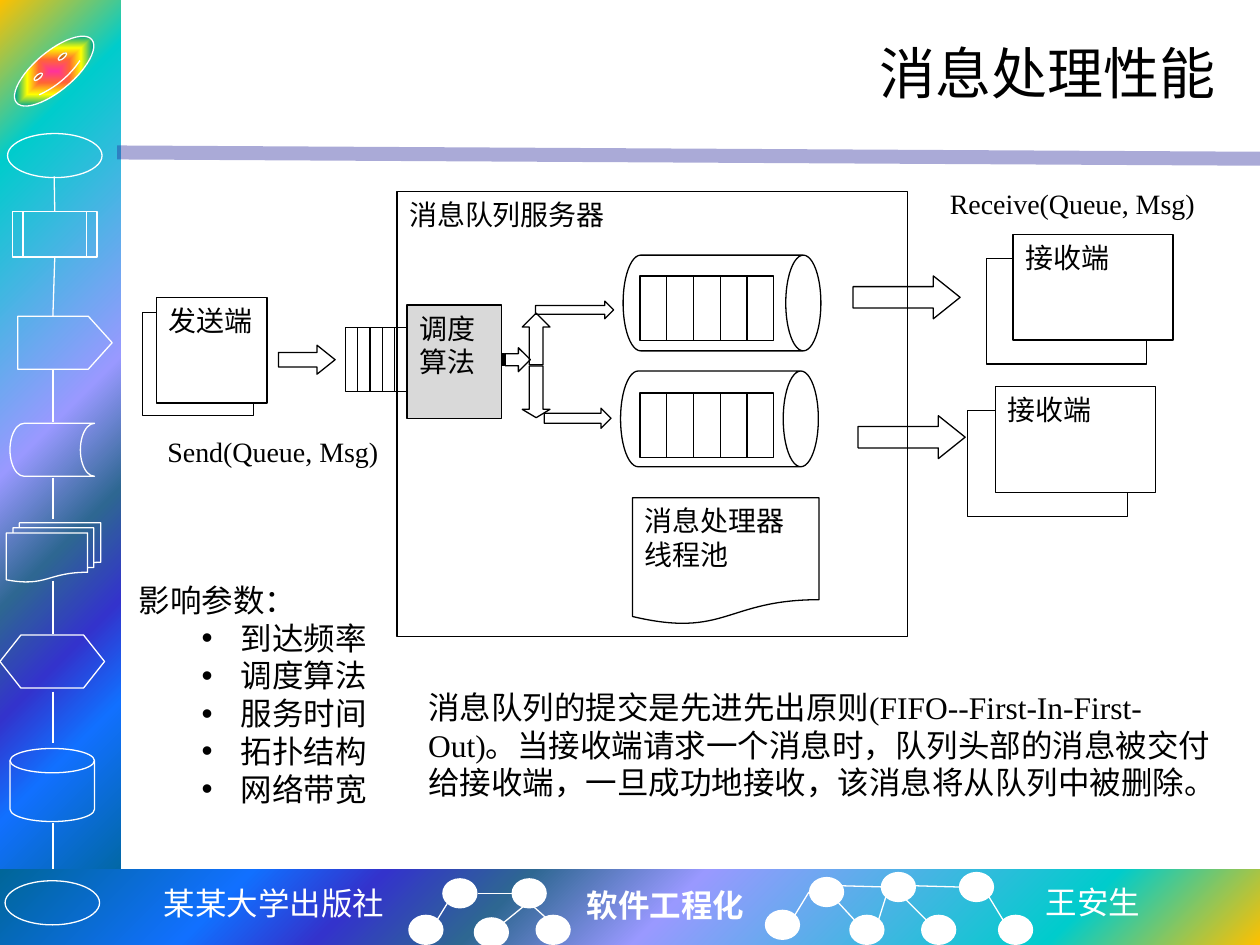
from lxml.etree import SubElement
from pptx import Presentation
from pptx.dml.color import RGBColor
from pptx.enum.shapes import MSO_CONNECTOR, MSO_SHAPE
from pptx.enum.text import MSO_ANCHOR, MSO_AUTO_SIZE, PP_ALIGN
from pptx.oxml.ns import qn
from pptx.util import Inches, Pt

COLORS = {"white": "FFFFFF", "black": "000000", "grey": "D9D9D9", "rule": "262699"}
SERIF, CJK = "Times New Roman", "Noto Sans CJK SC"
OCEAN = [(0, "FFC000"), (16, "00CCCC"), (47, "9999FF"), (60, "2E6792"),
         (71, "3333CC"), (81, "1170FF"), (100, "006699")]
RAINBOW = [(0, "FF3399"), (25, "FF6633"), (50, "FFFF00"), (75, "01A78F"), (100, "3366FF")]


def rgb(name):
    """Return the named palette colour."""
    return RGBColor.from_string(COLORS[name])


def write(tf, text, size=16, font=SERIF, color="black", bold=False,
          align=PP_ALIGN.LEFT, anchor=MSO_ANCHOR.TOP, wrap=True, bullets=()):
    """Fill a text frame with one paragraph per line, bulleting those listed."""
    tf.word_wrap, tf.vertical_anchor, tf.auto_size = wrap, anchor, MSO_AUTO_SIZE.NONE
    for i, line in enumerate(text.split("\n")):
        p = tf.paragraphs[0] if i == 0 else tf.add_paragraph()
        p.alignment, p.space_before = align, Pt(0)
        pPr = p._p.get_or_add_pPr()
        bulleted = i in bullets
        pPr.set("marL", str(Inches(0.81 if bulleted else 0)))
        pPr.set("indent", str(Inches(-0.31 if bulleted else 0)))
        if bulleted:
            SubElement(pPr, qn("a:buChar"), char="•")
        else:
            SubElement(pPr, qn("a:buNone"))
        r = p.add_run()
        r.text = line
        r.font.size, r.font.name, r.font.bold = Pt(size), font, bold
        r.font.color.rgb = rgb(color)
        SubElement(r._r.get_or_add_rPr(), qn("a:ea"), typeface=CJK)


def place(sp, x, y, w, h):
    """Set a shape's position and size in inches."""
    sp.left, sp.top, sp.width, sp.height = map(Inches, (x, y, w, h))


def add_label(s, text, x, y, w, h, **fmt):
    """Add a text box."""
    write(s.shapes.add_textbox(*map(Inches, (x, y, w, h))).text_frame, text, **fmt)


def add_box(s, kind, x, y, w, h, fill=None, line="black", text="", rot=0, adj=()):
    """Add a preset shape, with text when given."""
    sp = s.shapes.add_shape(kind, *map(Inches, (x, y, w, h)))
    sp.shadow.inherit = False
    sp.rotation = rot
    for i, value in enumerate(adj):
        sp.adjustments[i] = value
    if fill:
        sp.fill.solid()
        sp.fill.fore_color.rgb = rgb(fill)
    else:
        sp.fill.background()
    if line:
        sp.line.color.rgb, sp.line.width = rgb(line), Pt(0.75)
    else:
        sp.line.fill.background()
    if text:
        write(sp.text_frame, text)
    return sp


def set_gradient(sp, stops, path, focus):
    """Replace an empty fill by a path gradient with its focus in percent."""
    spPr = sp._element.spPr
    old = spPr.find(qn("a:noFill"))
    grad = SubElement(spPr, qn("a:gradFill"), rotWithShape="1")
    gsLst = SubElement(grad, qn("a:gsLst"))
    for pos, color in stops:
        gs = SubElement(gsLst, qn("a:gs"), pos=str(pos * 1000))
        SubElement(gs, qn("a:srgbClr"), val=color)
    node = SubElement(grad, qn("a:path"), path=path)
    SubElement(node, qn("a:fillToRect"),
               **{side: str(v * 1000) for side, v in zip("ltrb", focus)})
    spPr.replace(old, grad)


def add_line(s, x1, y1, x2, y2, color="white", width=0.75, alpha=None, begin=None, end=None):
    """Add a straight connector, joined to (shape, site) pairs when given."""
    c = s.shapes.add_connector(MSO_CONNECTOR.STRAIGHT, *map(Inches, (x1, y1, x2, y2)))
    c.line.color.rgb, c.line.width = rgb(color), Pt(width)
    if alpha:
        clr = next(c._element.spPr.iter(qn("a:srgbClr")))
        SubElement(clr, qn("a:alpha"), val=str(alpha * 1000))
    SubElement(c._element.spPr, qn("a:effectLst"))
    if begin:
        c.begin_connect(*begin)
    if end:
        c.end_connect(*end)


def add_queue(s, x, y, w, cells, h=0.51):
    """Add a rectangle split into equal cells."""
    sp = add_box(s, MSO_SHAPE.RECTANGLE, x, y, w, h)
    for i in range(1, cells):
        cx, middle = x + w * i / cells, 2 * i == cells
        add_line(s, cx, y, cx, y + h, "black",
                 begin=(sp, 0) if middle else None, end=(sp, 2) if middle else None)


def add_sidebar(s):
    """Draw the left band with its flowchart."""
    band = add_box(s, MSO_SHAPE.RECTANGLE, 0, 0, 0.96, 7.09, line=None)
    set_gradient(band, OCEAN, "circle", (0, 0, 100, 100))
    face = add_box(s, MSO_SHAPE.SMILEY_FACE, 0.04, 0.41, 0.78, 0.31, line="white",
                   rot=320, adj=[0.047])
    set_gradient(face, RAINBOW, "shape", (50, 50, 50, 50))
    process = add_box(s, MSO_SHAPE.FLOWCHART_PREDEFINED_PROCESS, 0.1, 1.68, 0.67, 0.36, line="white")
    for kind, x, y, w, h in [
        (MSO_SHAPE.OVAL, 0.06, 1.06, 0.75, 0.35),
        (MSO_SHAPE.FLOWCHART_STORED_DATA, 0.08, 3.36, 0.67, 0.42),
        (MSO_SHAPE.FLOWCHART_MULTIDOCUMENT, 0.05, 4.15, 0.75, 0.47),
        (MSO_SHAPE.FLOWCHART_PREPARATION, 0, 5.04, 0.83, 0.42),
        (MSO_SHAPE.FLOWCHART_MAGNETIC_DISK, 0.08, 5.94, 0.67, 0.58),
    ]:
        add_box(s, kind, x, y, w, h, line="white")
    add_box(s, MSO_SHAPE.PENTAGON, 0.14, 2.51, 0.75, 0.42, line="white", adj=[0.45])
    add_line(s, 0.43, 1.4, 0.43, 1.68, end=(process, 0))
    add_line(s, 0.43, 2.05, 0.42, 2.51, begin=(process, 2))
    for top, bottom in [(2.93, 3.35), (3.79, 4.12), (4.61, 5.03), (5.49, 5.9), (6.53, 6.99)]:
        add_line(s, 0.42, top, 0.42, bottom)


def add_footer(s):
    """Draw the bottom band with its labels and node networks."""
    band = add_box(s, MSO_SHAPE.RECTANGLE, 0, 6.9, 10, 0.6, line=None)
    set_gradient(band, OCEAN, "circle", (100, 100, 0, 0))
    add_box(s, MSO_SHAPE.OVAL, 0.04, 6.99, 0.75, 0.35, line="white")
    for x, y in [(3.51, 6.97), (4.06, 6.97), (3.24, 7.26), (3.76, 7.28), (4.25, 7.26),
                 (6.07, 7.22), (6.42, 6.96), (6.74, 7.26), (6.99, 6.92), (7.31, 7.26),
                 (7.61, 6.92), (7.92, 7.26)]:
        add_box(s, MSO_SHAPE.OVAL, x, y, 0.28, 0.24, fill="white", line=None)
    for ends in [(3.47, 7.3, 3.55, 7.17), (4, 7.32, 4.16, 7.19), (4.06, 7.09, 3.79, 7.09),
                 (4.34, 7.29, 4.24, 7.2), (6.31, 7.26, 6.42, 7.08), (6.78, 7.3, 6.65, 7.16),
                 (6.68, 7.03, 7.03, 7.04), (6.97, 7.31, 7.03, 7.12), (7.35, 7.3, 7.15, 7.1),
                 (7.26, 7.03, 7.61, 7.04), (7.96, 7.3, 7.85, 7.12)]:
        add_line(s, *ends)
    fmt = {"size": 18, "color": "white", "wrap": False}
    add_label(s, "某某大学出版社", 1.19, 6.97, 1.97, 0.4, font="Noto Sans Mono",
              align=PP_ALIGN.CENTER, **fmt)
    add_label(s, "软件工程化", 4.56, 6.98, 1.46, 0.4, bold=True, **fmt)
    add_label(s, "王安生", 8.2, 6.96, 0.96, 0.4, font=CJK, **fmt)


def add_diagram(s):
    """Draw the sender, the queue server and the receivers."""
    rect, arrow = MSO_SHAPE.RECTANGLE, MSO_SHAPE.RIGHT_ARROW
    add_box(s, rect, 3.15, 1.52, 4.05, 3.53, text="消息队列服务器")
    add_box(s, rect, 1.13, 2.48, 0.88, 0.82)
    add_box(s, rect, 1.24, 2.36, 0.88, 0.84, fill="white", text="发送端")
    for back, front in [((7.83, 2.05), (8.04, 1.86)), ((7.68, 3.26), (7.9, 3.07))]:
        add_box(s, rect, *back, 1.27, 0.84)
        add_box(s, rect, *front, 1.27, 0.84, fill="white", text="接收端")
    for x, y, queue_y in [(5.35, 1.62, 2.19), (5.33, 2.54, 3.12)]:
        add_box(s, MSO_SHAPE.CAN, x, y, 0.76, 1.57, rot=90, adj=[0.367])
        add_queue(s, 5.08, queue_y, 1.06, 5)
    add_queue(s, 2.74, 2.6, 0.59, 6)
    add_box(s, rect, 3.23, 2.42, 0.75, 0.9, fill="grey", text="调度算法")
    add_box(s, MSO_SHAPE.FLOWCHART_DOCUMENT, 5.02, 3.95, 1.48, 1.01, text="消息处理器\n线程池")
    for x, y, w, h, rot, head in [
        (2.21, 2.74, 0.45, 0.23, 0, 0.624), (6.77, 2.19, 0.85, 0.34, 0, 0.624),
        (6.81, 3.3, 0.85, 0.34, 0, 0.624), (4.25, 2.39, 0.62, 0.14, 0, 0.5),
        (4.32, 3.24, 0.53, 0.16, 0, 0.5), (4.05, 3, 0.41, 0.22, 90, 0.299),
        (4.05, 2.58, 0.41, 0.22, 270, 0.5),
    ]:
        add_box(s, arrow, x, y, w, h, rot=rot, adj=[0.5, head])
    add_box(s, MSO_SHAPE.STRIPED_RIGHT_ARROW, 3.98, 2.76, 0.23, 0.19)
    add_label(s, "Send(Queue, Msg)", 1.23, 3.4, 2.12, 0.51)
    add_label(s, "Receive(Queue, Msg)", 7.44, 1.43, 2.56, 0.51)


def main():
    """Build and save the slide."""
    prs = Presentation()
    prs.slide_width, prs.slide_height = Inches(10), Inches(7.5)
    s = prs.slides.add_slide(prs.slide_layouts[1])
    title, body = s.shapes.title, s.placeholders[1]
    place(title, 1.25, 0.17, 8.5, 0.81)
    write(title.text_frame, "消息处理性能", size=32, font="Arial",
          align=PP_ALIGN.RIGHT, anchor=MSO_ANCHOR.MIDDLE)
    place(body, 1, 4.56, 2.03, 1.92)
    write(body.text_frame, "影响参数：\n到达频率\n调度算法\n服务时间\n拓扑结构\n网络带宽",
          size=18, wrap=False, bullets=range(1, 6))
    add_sidebar(s)
    add_footer(s)
    add_line(s, 0.93, 1.21, 10, 1.26, "rule", width=8, alpha=39)
    add_diagram(s)
    add_label(s, "消息队列的提交是先进先出原则(FIFO--First-In-First-Out)。当接收端请求一个消息时，"
              "队列头部的消息被交付给接收端，一旦成功地接收，该消息将从队列中被删除。",
              3.3, 5.41, 6.53, 1.01, size=18)
    prs.save("out.pptx")


if __name__ == "__main__":
    main()
